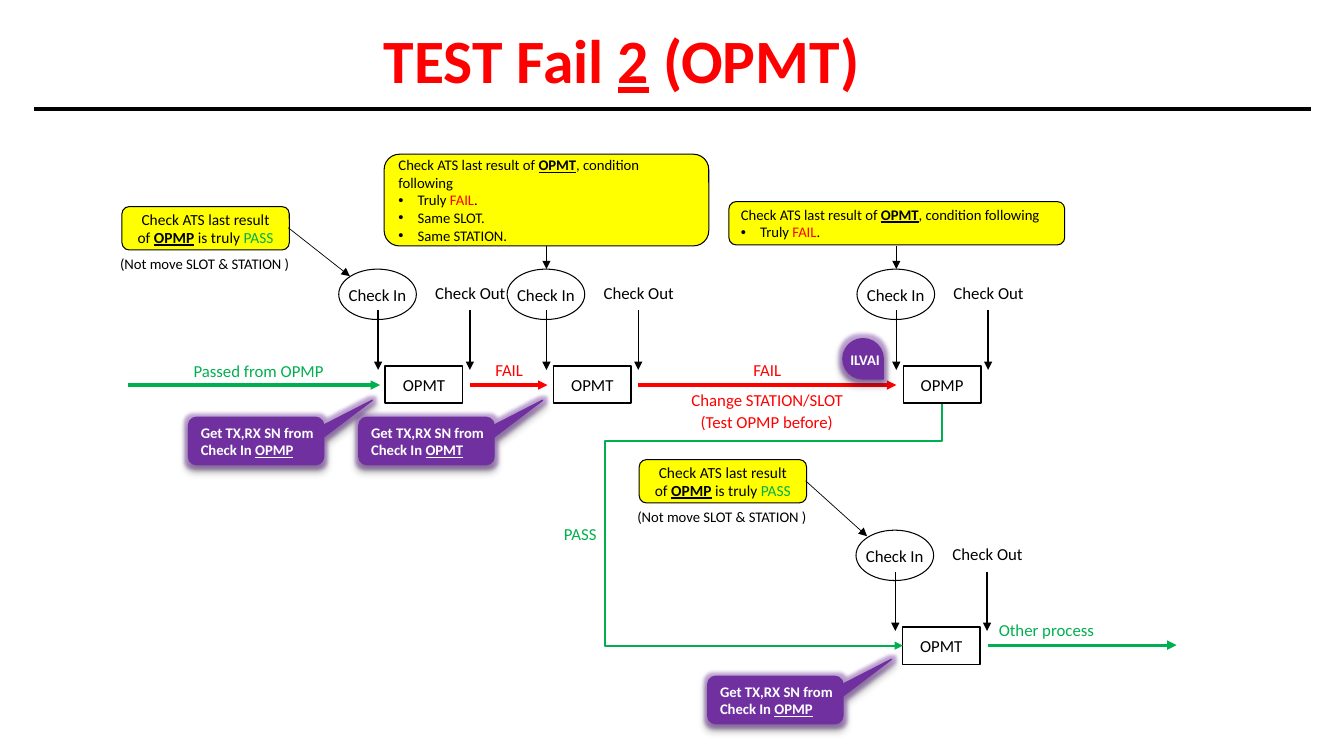
from lxml import etree
from pptx import Presentation
from pptx.dml.color import RGBColor
from pptx.enum.shapes import MSO_CONNECTOR, MSO_SHAPE
from pptx.enum.text import MSO_ANCHOR, PP_ALIGN
from pptx.oxml import parse_xml
from pptx.oxml.ns import nsdecls, qn
from pptx.util import Inches, Pt

THEME = {
    "font": "Calibri",
    "black": RGBColor(0x00, 0x00, 0x00), "white": RGBColor(0xFF, 0xFF, 0xFF),
    "red": RGBColor(0xFF, 0x00, 0x00), "green": RGBColor(0x00, 0xB0, 0x50),
    "yellow": RGBColor(0xFF, 0xFF, 0x00), "purple": RGBColor(0x70, 0x30, 0xA0),
    "title": 44, "label": 12, "rule": 11, "note": 10.5,
}
LEFT, CENTER = PP_ALIGN.LEFT, PP_ALIGN.CENTER

prs = Presentation()
prs.slide_width, prs.slide_height = Inches(13.33), Inches(7.5)
s = prs.slides.add_slide(prs.slide_layouts[6])
COL, ROW = prs.slide_width / 13.33, prs.slide_height / 7.5


def put(kind, box, paras, size="label", color="black", align=CENTER,
        fill=None, line=None, width=1, wrap=False, bold=False):
    """Add a shape, or a text box if kind is None. box is in columns and rows.

    A paragraph is a list of (text, marks) runs; marks holds b, u or a colour
    name. A paragraph that starts with "•" is a bullet.
    """
    x, y, w, h = box
    area = int(x * COL), int(y * ROW), int(w * COL), int(h * ROW)
    if kind is None:
        sp = s.shapes.add_textbox(*area)
    else:
        sp = s.shapes.add_shape(kind, *area)
        sp.shadow.inherit = False
        sp.line.color.rgb, sp.line.width = THEME[line], Pt(width)
        if fill:
            sp.fill.solid()
            sp.fill.fore_color.rgb = THEME[fill]
        else:
            sp.fill.background()
    tf = sp.text_frame
    tf.word_wrap = wrap
    tf.vertical_anchor = MSO_ANCHOR.MIDDLE if kind else MSO_ANCHOR.TOP
    for i, runs in enumerate(paras):
        p = tf.paragraphs[0] if i == 0 else tf.add_paragraph()
        p.alignment = align
        if runs[0] == "•":
            runs = runs[1:]
            pPr = p._p.get_or_add_pPr()
            pPr.set("marL", str(Inches(0.19)))
            pPr.set("indent", str(-Inches(0.19)))
            etree.SubElement(pPr, qn("a:buFont")).set("typeface", "Arial")
            etree.SubElement(pPr, qn("a:buChar")).set("char", "•")
        for text, marks in runs:
            r = p.add_run()
            r.text = text
            r.font.name, r.font.size = THEME["font"], Pt(THEME[size])
            r.font.bold = bold or marks == "bu"
            r.font.underline = marks in ("u", "bu")
            r.font.color.rgb = THEME[marks if marks in THEME else color]
    return sp


def draw_line(x1, y1, x2, y2, color="black", width=1, arrow=True, kind=MSO_CONNECTOR.STRAIGHT):
    c = s.shapes.add_connector(kind, int(x1 * COL), int(y1 * ROW), int(x2 * COL), int(y2 * ROW))
    c.line.color.rgb, c.line.width = THEME[color], Pt(width)
    if arrow:
        etree.SubElement(c.line._get_or_add_ln(), qn("a:tailEnd")).set("type", "triangle")
    etree.SubElement(c._element.spPr, qn("a:effectLst"))
    return c


# Title
put(None, (3.68, 0.17, 4.97, 0.84), [[("TEST Fail ", ""), ("2", "u"), (" (OPMT)", "")]],
    size="title", color="red", bold=True)
draw_line(0.34, 1.08, 13, 1.08, width=2.5, arrow=False)

# Stations, each with its check-in and check-out
for x, y, name in [(3.82, 3.63, "OPMT"), (5.49, 3.63, "OPMT"),
                   (8.96, 3.63, "OPMP"), (8.95, 6.22, "OPMT")]:
    put(MSO_SHAPE.RECTANGLE, (x, y, 0.77, 0.37), [[(name, "")]], fill="white", line="black")
    put(MSO_SHAPE.OVAL, (x - 0.46, y - 0.96, 0.77, 0.5), [[("Check In", "")]],
        line="black", width=0.75)
    put(None, (x + 0.39, y - 0.87, 0.91, 0.3), [[("Check Out", "")]])
    for arrow_x in (x - 0.07, x + 0.84):
        draw_line(arrow_x, y - 0.55, arrow_x, y + 0.04)

# Conditions checked at check-in
last_result = [("Check ATS last result of ", ""), ("OPMT", "bu"), (", condition following", "")]
truly_fail = ["•", ("Truly ", ""), ("FAIL", "red"), (".", "")]
same = [["•", ("Same SLOT.", "")], ["•", ("Same STATION.", "")]]
for box, paras in [((3.81, 1.53, 3.22, 0.91), [last_result, truly_fail] + same),
                   ((7.23, 2, 3.33, 0.43), [last_result, truly_fail])]:
    put(MSO_SHAPE.ROUNDED_RECTANGLE, box, paras, size="note", align=LEFT,
        fill="yellow", line="black", width=0.75, wrap=True)

truly_pass = [("Check ATS last result of ", ""), ("OPMP", "bu"),
              (" is truly ", ""), ("PASS", "green")]
for x, y in [(1.21, 2.05), (6.34, 4.56)]:
    put(MSO_SHAPE.ROUNDED_RECTANGLE, (x, y, 1.66, 0.43), [truly_pass], size="rule",
        fill="yellow", line="black", width=0.75, wrap=True)
    put(None, (x - 0.19, y + 0.43, 2.02, 0.29), [[("(Not move SLOT & STATION )", "")]],
        size="note", wrap=True)

for ends in [(5.42, 2.44, 5.42, 2.67), (8.89, 2.44, 8.89, 2.67),
             (2.86, 2.26, 3.47, 2.74), (7.99, 4.77, 8.6, 5.32)]:
    draw_line(*ends, width=0.5)

# Flow between stations
for x1, x2, y, color in [(1.27, 3.77, 3.82, "green"), (4.66, 5.43, 3.82, "red"),
                         (6.33, 8.89, 3.82, "red"), (9.8, 11.67, 6.4, "green")]:
    draw_line(x1, y, x2, y, color, 2.25)

for x, y, w, text, color in [
        (1.81, 3.53, 1.51, "Passed from OPMP", "green"),
        (4.81, 3.52, 0.48, "FAIL", "red"),
        (7.37, 3.52, 0.48, "FAIL", "red"),
        (6.75, 3.82, 1.72, "Change STATION/SLOT", "red"),
        (6.84, 4.04, 1.53, "(Test OPMP before)", "red"),
        (5.49, 5.15, 0.53, "PASS", "green"),
        (9.8, 6.1, 1.16, "Other process", "green")]:
    put(None, (x, y, w, 0.3), [[(text, "")]], color=color)

# The pass route turns three times: down, left, down and right
route = draw_line(7.95, 5.01, 10.35, 5.4, "green", 1.5, kind=MSO_CONNECTOR.ELBOW)
route._element.spPr.find(qn("a:xfrm")).set("rot", str(90 * 60000))
geom = route._element.spPr.find(qn("a:prstGeom"))
geom.set("prst", "bentConnector4")
guides = geom.find(qn("a:avLst"))
for name, value in [("adj1", 15500), ("adj2", 858100)]:
    gd = etree.SubElement(guides, qn("a:gd"))
    gd.set("name", name)
    gd.set("fmla", f"val {value}")

# Purple callouts and the tester badge
badge = put(MSO_SHAPE.TEAR, (8.36, 3.36, 0.4, 0.4), [], fill="purple", line="purple")
badge.rotation = 90
tester = put(None, (8.3, 3.43, 0.56, 0.29), [[("ILVAI", "")]],
             size="note", color="white", bold=True)
tester.text_frame.margin_left = tester.text_frame.margin_right = 0

glowing = [badge]
for x, y, source in [(1.87, 4.14, "OPMP"), (3.56, 4.14, "OPMT"), (7.02, 6.71, "OPMP")]:
    sp = put(MSO_SHAPE.ROUNDED_RECTANGULAR_CALLOUT, (x, y, 1.34, 0.47),
             [[("Get TX,RX SN from", "")], [("Check In ", ""), (source, "u")]],
             size="note", color="white", align=LEFT, fill="purple", line="purple",
             wrap=True, bold=True)
    sp.text_frame.margin_right = 0
    for i, value in enumerate((0.86, -0.86, 0.17)):
        sp.adjustments[i] = value
    glowing.append(sp)

for sp in glowing:
    spPr = sp._element.spPr
    spPr.replace(spPr.find(qn("a:effectLst")), parse_xml(
        f'<a:effectLst {nsdecls("a")}>'
        f'<a:glow rad="{Pt(5)}"><a:srgbClr val="{THEME["purple"]}"><a:alpha val="40000"/></a:srgbClr></a:glow>'
        f'<a:outerShdw blurRad="{Pt(4)}" dist="{Pt(3)}" dir="5400000" rotWithShape="0">'
        '<a:srgbClr val="000000"><a:alpha val="40000"/></a:srgbClr></a:outerShdw></a:effectLst>'))

prs.save("out.pptx")
